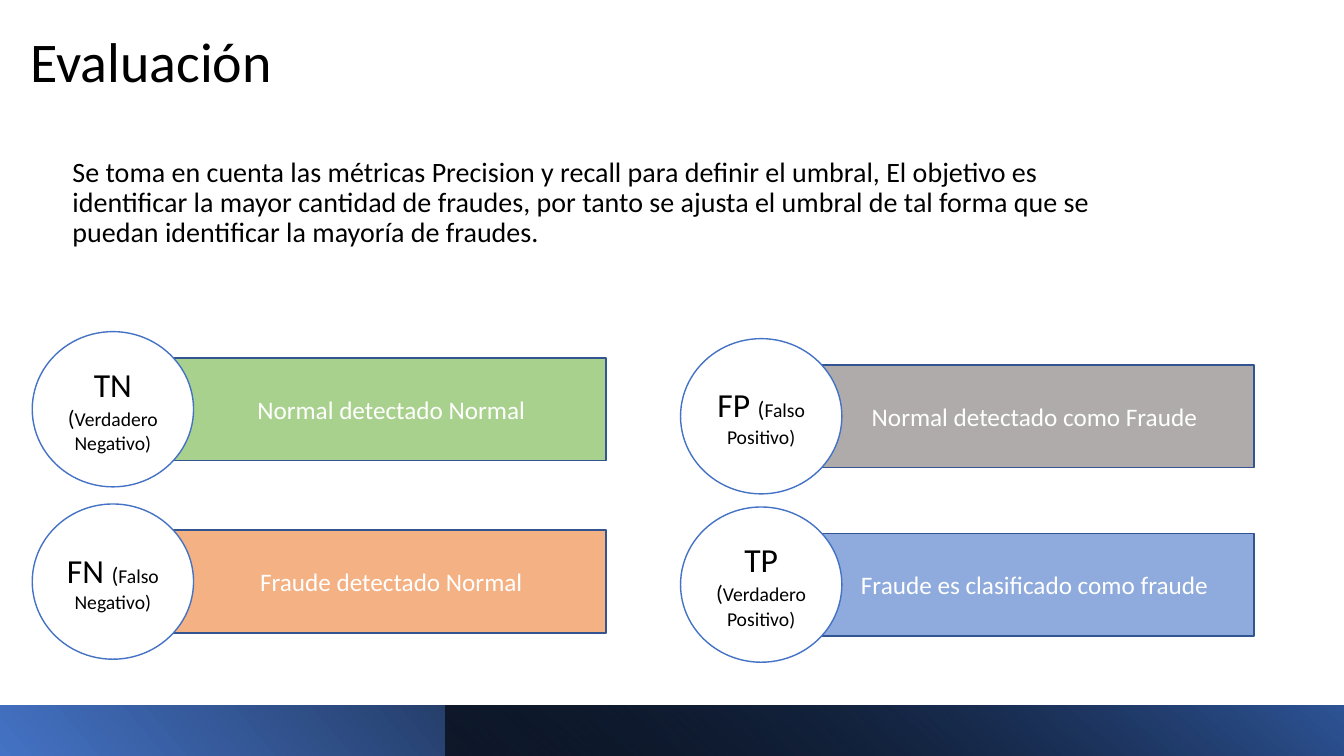
"""Build the fraud evaluation slide with its four confusion-matrix outcomes."""
from dataclasses import dataclass

from lxml.etree import SubElement
from pptx import Presentation
from pptx.dml.color import RGBColor as RGB
from pptx.enum.shapes import MSO_SHAPE as Shp
from pptx.enum.text import MSO_ANCHOR as Anchor, MSO_AUTO_SIZE as Fit, PP_ALIGN as Align
from pptx.oxml.ns import qn
from pptx.util import Inches, Pt

W, H = 13.33, 7.5
FONT = "Calibri"
COLORS = {
    "text": "000000", "white": "FFFFFF", "accent": "4472C4", "border": "325491",
    "navy": "2F5597", "tn": "A9D18E", "fn": "F4B183", "fp": "AFABAB", "tp": "8FAADC",
}
COLUMNS = (0.32, 6.75)
ROWS = ((3.29, 5.0), (3.36, 5.03))
CIRCLE = (1.6, 1.54)
BAR = (4.36, 1.02)
BAR_OFFSET = (1.33, 0.26)


@dataclass(frozen=True)
class Outcome:
    """One cell of the confusion matrix."""
    col: int
    row: int
    code: str
    meaning: str
    label: str
    inset: float = 0.1


@dataclass(frozen=True)
class Band:
    """One gradient strip of the footer."""
    left: float
    angle: int
    stops: tuple
    start_opacity: int = 100


OUTCOMES = (
    Outcome(1, 1, "TP", "Verdadero Positivo)", "Fraude es clasificado como fraude"),
    Outcome(0, 1, "FN", "Falso Negativo)", "Fraude detectado Normal", 0.2),
    Outcome(0, 0, "TN", "Verdadero Negativo)", "Normal detectado Normal", 0.2),
    Outcome(1, 0, "FP", "Falso Positivo)", "Normal detectado como Fraude"),
)
BANDS = (
    Band(0, 40, ((0, "accent"), (0.78, "text"))),
    Band(4.42, 50, ((0, "text"), (1, "navy")), 63),
)


def color(name: str) -> RGB:
    """Look up a named colour."""
    return RGB.from_string(COLORS[name])


def add_run(p, text: str, size: float, name: str = "text") -> None:
    """Append a formatted run."""
    r = p.add_run()
    r.text = text
    r.font.name, r.font.size = FONT, Pt(size)
    r.font.color.rgb = color(name)


def box(left: float, top: float, width: float, height: float) -> tuple:
    """Turn inches into slide lengths."""
    return tuple(Inches(v) for v in (left, top, width, height))


def add_band(shapes, band: Band) -> None:
    """Draw a footer strip reaching the right edge."""
    s = shapes.add_shape(Shp.RECTANGLE, *box(band.left, H - 0.5, W - band.left, 0.5))
    s.shadow.inherit = False
    s.line.fill.background()
    s.fill.gradient()
    s.fill.gradient_angle = band.angle
    for stop, (position, name) in zip(s.fill.gradient_stops, band.stops):
        stop.position = position
        stop.color.rgb = color(name)
    if band.start_opacity < 100:
        first = next(s._element.iter(qn("a:srgbClr")))
        SubElement(first, qn("a:alpha"), val=str(band.start_opacity * 1000))


def add_outlined(shapes, kind, area: tuple, fill: str, line: str):
    """Draw a filled shape and return its centred text frame."""
    s = shapes.add_shape(kind, *box(*area))
    s.shadow.inherit = False
    s.fill.solid()
    s.fill.fore_color.rgb = color(fill)
    s.line.color.rgb = color(line)
    s.line.width = Pt(1)
    tf = s.text_frame
    tf.word_wrap, tf.vertical_anchor = True, Anchor.MIDDLE
    tf.paragraphs[0].alignment = Align.CENTER
    return tf


def add_outcome(shapes, item: Outcome) -> None:
    """Draw a bar and the circle that overlaps it as one group."""
    group = shapes.add_group_shape().shapes
    x, y = COLUMNS[item.col], ROWS[item.col][item.row]
    dx, dy = BAR_OFFSET
    tf = add_outlined(group, Shp.RECTANGLE, (x + dx, y + dy, *BAR), item.code.lower(), "border")
    tf.margin_left = Inches(item.inset)
    add_run(tf.paragraphs[0], item.label, 18, "white")
    tf = add_outlined(group, Shp.FLOWCHART_CONNECTOR, (x, y, *CIRCLE), "white", "accent")
    for text, size in ((item.code + " ", 24), ("(", 16), (item.meaning, 14)):
        add_run(tf.paragraphs[0], text, size)


def write(s, area: tuple, text: str, size: float, anchor) -> None:
    """Place a left-aligned paragraph."""
    s.left, s.top, s.width, s.height = box(*area)
    tf = s.text_frame
    tf.word_wrap, tf.auto_size, tf.vertical_anchor = True, Fit.NONE, anchor
    p = tf.paragraphs[0]
    add_run(p, text, size)
    p.alignment, p.line_spacing = Align.LEFT, 0.9


def main() -> None:
    """Assemble and save the slide."""
    prs = Presentation()
    prs.slide_width, prs.slide_height = Inches(W), Inches(H)
    shapes = prs.slides.add_slide(prs.slide_layouts[5]).shapes
    write(shapes.title, (0.2, 0.26, 11.02, 0.73), "Evaluación", 40, Anchor.BOTTOM)
    for band in BANDS:
        add_band(shapes, band)
    for item in OUTCOMES:
        add_outcome(shapes, item)
    area = (0.62, 1.52, 10.85, 1.02)
    write(shapes.add_textbox(*box(*area)), area,
          "Se toma en cuenta las métricas Precision y recall para definir el umbral, "
          "El objetivo es identificar la mayor cantidad de fraudes, por tanto se ajusta "
          "el umbral de tal forma que se puedan identificar la mayoría de fraudes.",
          20, Anchor.TOP)
    prs.save("out.pptx")


main()
